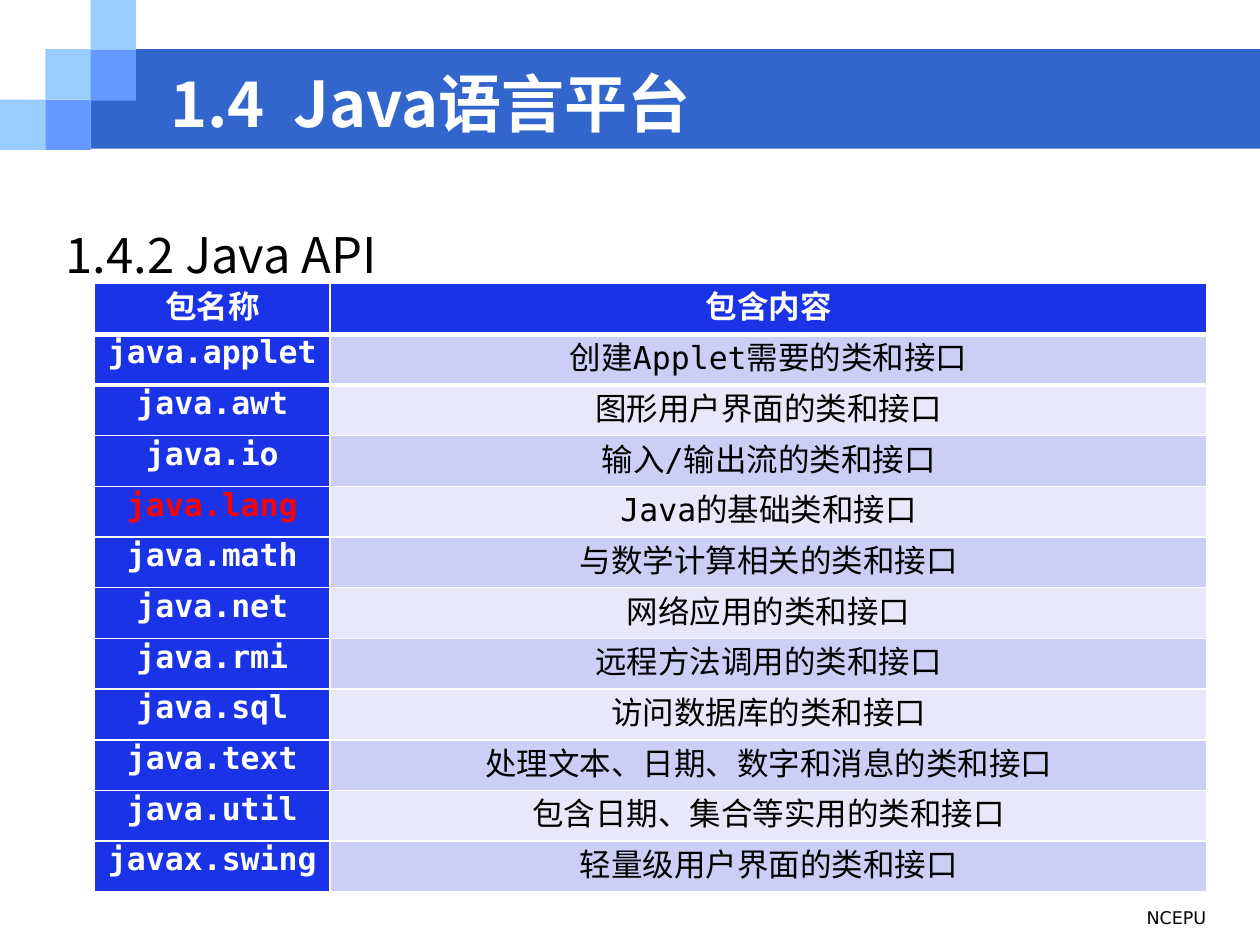
from typing import NamedTuple

from lxml.etree import SubElement
from pptx import Presentation
from pptx.dml.color import RGBColor
from pptx.enum.shapes import MSO_SHAPE
from pptx.enum.text import MSO_ANCHOR, MSO_AUTO_SIZE, PP_ALIGN
from pptx.oxml.ns import qn
from pptx.util import Inches, Pt

COLORS = {
    "white": "FFFFFF",
    "black": "000000",
    "red": "FF0000",
    "bar": "3366CC",
    "light": "99CCFF",
    "mid": "6699FF",
    "header": "1B33E7",
    "odd": "CDCEF6",
    "even": "E8E8FA",
}
CJK = "Noto Sans CJK SC"
SANS = "DejaVu Sans"
MONO = "DejaVu Sans Mono"


class Block(NamedTuple):
    left: float
    top: float
    width: float
    height: float
    color: str


class Package(NamedTuple):
    name: str
    content: str
    color: str = "white"


BLOCKS = [
    Block(0.72, 0.39, 9.28, 0.79, "bar"),
    Block(0, 0.79, 0.36, 0.4, "light"),
    Block(0.36, 0.39, 0.36, 0.4, "light"),
    Block(0.72, 0, 0.36, 0.4, "light"),
    Block(0.72, 0.4, 0.36, 0.4, "mid"),
    Block(0.36, 0.79, 0.36, 0.4, "mid"),
]

PACKAGES = [
    Package("java.applet", "创建Applet需要的类和接口"),
    Package("java.awt", "图形用户界面的类和接口"),
    Package("java.io", "输入/输出流的类和接口"),
    Package("java.lang", "Java的基础类和接口", "red"),
    Package("java.math", "与数学计算相关的类和接口"),
    Package("java.net", "网络应用的类和接口"),
    Package("java.rmi", "远程方法调用的类和接口"),
    Package("java.sql", "访问数据库的类和接口"),
    Package("java.text", "处理文本、日期、数字和消息的类和接口"),
    Package("java.util", "包含日期、集合等实用的类和接口"),
    Package("javax.swing", "轻量级用户界面的类和接口"),
]


def rgb(name: str) -> RGBColor:
    return RGBColor.from_string(COLORS[name])


def place(sp, left: float, top: float, width: float, height: float) -> None:
    sp.left, sp.top = Inches(left), Inches(top)
    sp.width, sp.height = Inches(width), Inches(height)


def add_run(p, text: str, size: int, color: str, font: str, bold: bool = False) -> None:
    r = p.add_run()
    r.text = text
    r.font.size = Pt(size)
    r.font.bold = bold
    r.font.name = font
    r.font.color.rgb = rgb(color)
    SubElement(r.font._element, qn("a:ea")).set("typeface", CJK)


def add_block(s, block: Block) -> None:
    sp = s.shapes.add_shape(MSO_SHAPE.RECTANGLE, 0, 0, 0, 0)
    place(sp, *block[:4])
    sp.shadow.inherit = False
    sp.fill.solid()
    sp.fill.fore_color.rgb = rgb(block.color)
    sp.line.fill.background()


def set_border(cell, side: str, width: int) -> None:
    tcPr = cell._tc.get_or_add_tcPr()
    line = SubElement(tcPr, qn(f"a:{side}"))
    line.set("w", str(Pt(width)))
    fill = SubElement(line, qn("a:solidFill"))
    SubElement(fill, qn("a:srgbClr")).set("val", COLORS["white"])
    tcPr.insert(0, line)


def fill_cell(cell, text: str, fill: str, color: str, bold: bool) -> None:
    cell.fill.solid()
    cell.fill.fore_color.rgb = rgb(fill)
    cell.margin_left = cell.margin_right = Inches(0.07)
    cell.margin_top, cell.margin_bottom = Inches(0.05), 0
    cell.vertical_anchor = MSO_ANCHOR.TOP
    p = cell.text_frame.paragraphs[0]
    p.alignment = PP_ALIGN.CENTER
    p.line_spacing = 0.8
    add_run(p, text, 18, color, MONO, bold)


def add_title(s) -> None:
    sp = s.shapes.title
    place(sp, 1.25, 0.55, 8.08, 0.53)
    tf = sp.text_frame
    tf.auto_size = MSO_AUTO_SIZE.NONE
    tf.vertical_anchor = MSO_ANCHOR.MIDDLE
    p = tf.paragraphs[0]
    p.alignment = PP_ALIGN.LEFT
    add_run(p, "1.4  Java语言平台", 36, "white", CJK, True)


def add_body(s) -> None:
    sp = s.placeholders[1]
    place(sp, 0.42, 1.5, 9.33, 5.75)
    tf = sp.text_frame
    tf.auto_size = MSO_AUTO_SIZE.NONE
    tf.margin_top = Inches(0.05)
    p = tf.paragraphs[0]
    pPr = p._p.get_or_add_pPr()
    pPr.set("marL", "0")
    pPr.set("indent", "0")
    SubElement(pPr, qn("a:buNone"))
    p.line_spacing = 1.5
    p.space_before = Pt(0)
    add_run(p, "1.4.2 Java API", 28, "black", CJK)


def add_footer(s) -> None:
    sp = s.shapes.add_textbox(Inches(6.5), Inches(7.15), Inches(3.17), Inches(0.35))
    tf = sp.text_frame
    tf.word_wrap = True
    p = tf.paragraphs[0]
    p.alignment = PP_ALIGN.RIGHT
    add_run(p, "NCEPU", 10, "black", SANS)


def add_packages(s) -> None:
    rows = len(PACKAGES) + 1
    frame = s.shapes.add_table(
        rows, 2, Inches(0.75), Inches(2.25), Inches(8.83), Inches(4.83)
    )
    table = frame.table
    table.first_col = True
    table.columns[0].width = Inches(1.87)
    table.columns[1].width = Inches(6.96)
    for col, text in enumerate(("包名称", "包含内容")):
        fill_cell(table.cell(0, col), text, "header", "white", True)
        set_border(table.cell(0, col), "lnB", 3)
        set_border(table.cell(1, col), "lnT", 3)
    for row, package in enumerate(PACKAGES, 1):
        band = "odd" if row % 2 else "even"
        fill_cell(table.cell(row, 0), package.name, "header", package.color, True)
        fill_cell(table.cell(row, 1), package.content, band, "black", False)


def main() -> None:
    prs = Presentation()
    prs.slide_width, prs.slide_height = Inches(10), Inches(7.5)
    s = prs.slides.add_slide(prs.slide_layouts[1])
    tree = s.shapes._spTree
    for index, block in enumerate(BLOCKS, 2):
        add_block(s, block)
        tree.insert(index, tree[-1])
    add_title(s)
    add_body(s)
    add_footer(s)
    add_packages(s)
    prs.save("out.pptx")


if __name__ == "__main__":
    main()
